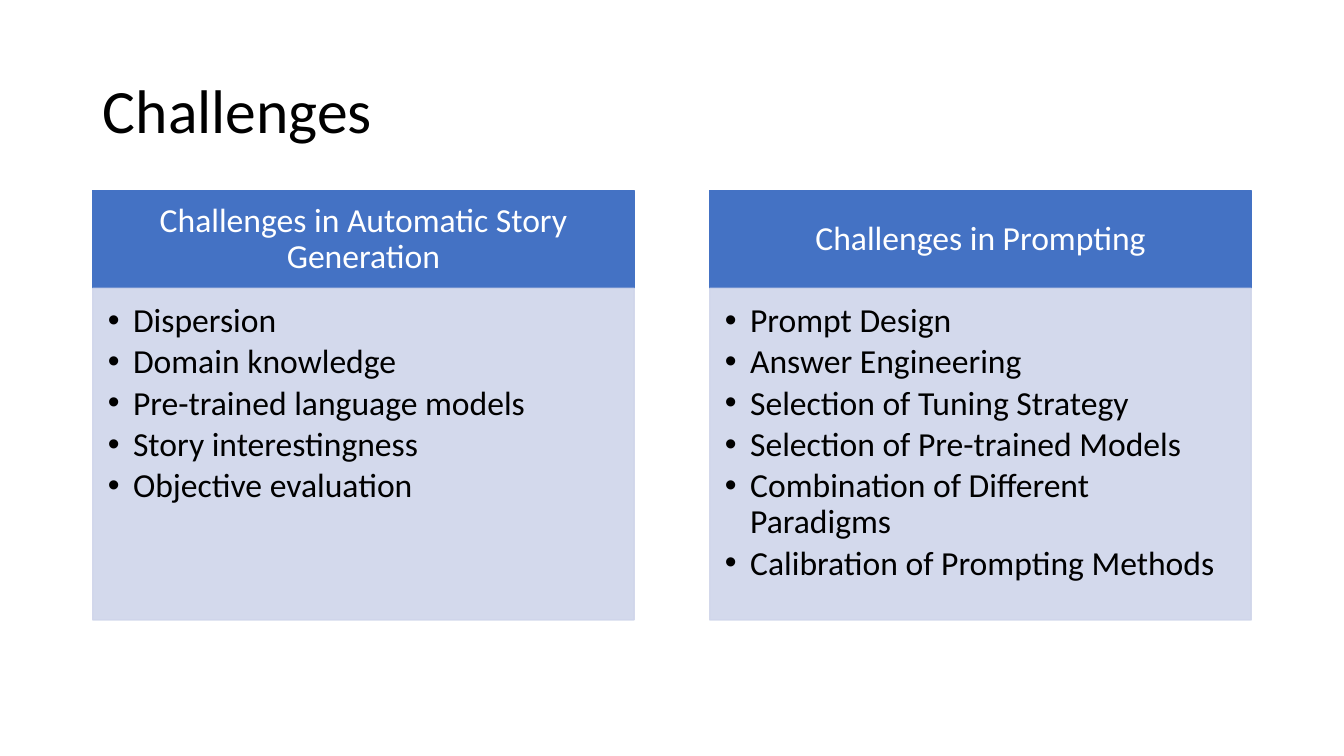
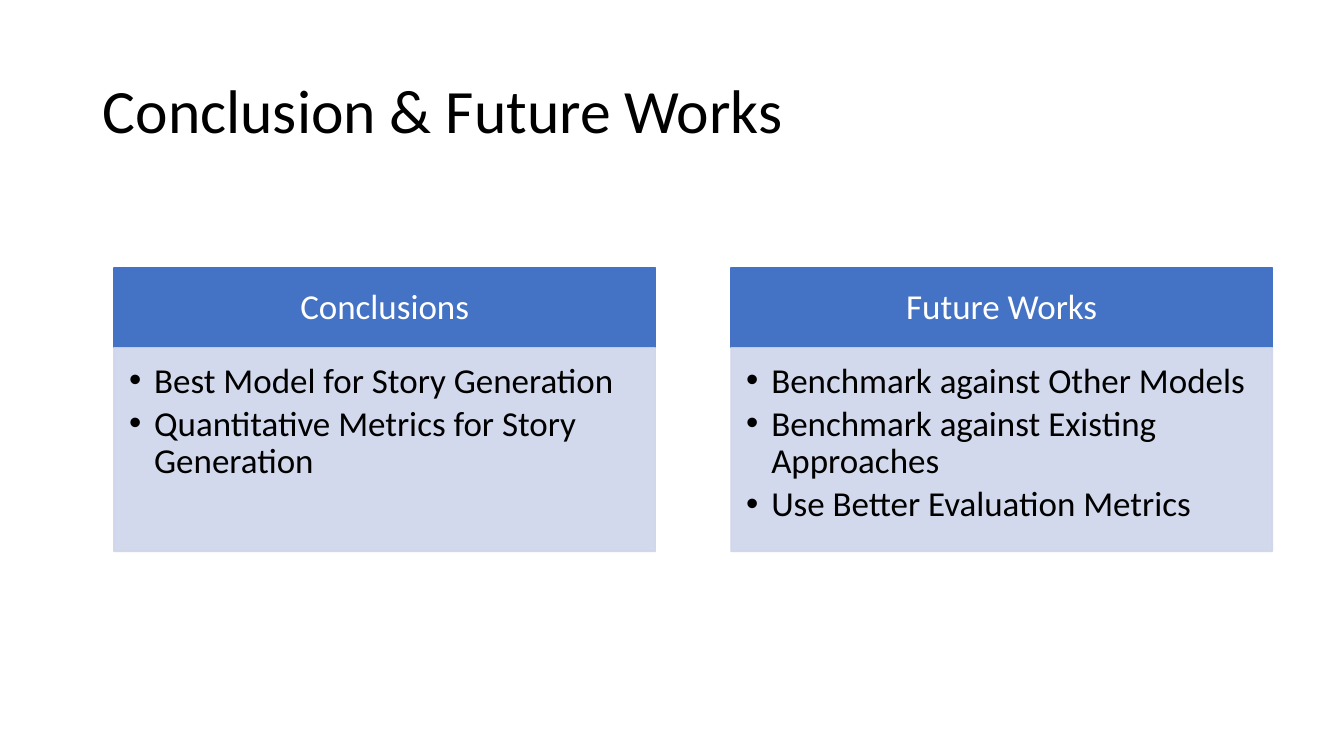
"""Build two slides that each compare a pair of headed bullet panels."""
from dataclasses import dataclass

from lxml.etree import SubElement
from pptx import Presentation
from pptx.dml.color import RGBColor as Color
from pptx.enum.shapes import MSO_SHAPE as Preset
from pptx.enum.text import MSO_ANCHOR as Anchor, MSO_AUTO_SIZE as AutoSize, PP_ALIGN as Align
from pptx.oxml.ns import qn
from pptx.util import Inches, Pt

PAGES = [
    {
        "title": "Challenges",
        "left": 0.92, "top": 1.89, "header": 0.97, "body": 3.29, "size": 24,
        "panels": [
            ("Challenges in Automatic Story Generation", [
                "Dispersion",
                "Domain knowledge",
                "Pre-trained language models",
                "Story interestingness",
                "Objective evaluation",
            ]),
            ("Challenges in Prompting", [
                "Prompt Design",
                "Answer Engineering",
                "Selection of Tuning Strategy",
                "Selection of Pre-trained Models",
                "Combination of Different Paradigms",
                "Calibration of Prompting Methods",
            ]),
        ],
    },
    {
        "title": "Conclusion & Future Works",
        "left": 1.13, "top": 2.66, "header": 0.79, "body": 2.02, "size": 25,
        "panels": [
            ("Conclusions", [
                "Best Model for Story Generation",
                "Quantitative Metrics for Story Generation",
            ]),
            ("Future Works", [
                "Benchmark against Other Models",
                "Benchmark against Existing Approaches",
                "Use Better Evaluation Metrics",
            ]),
        ],
    },
]


@dataclass(frozen=True)
class Theme:
    font: str = "Calibri"
    title_size: int = 44
    line_spacing: float = 0.9
    bullet_gap: float = 0.15
    text: Color = Color(0, 0, 0)
    header_text: Color = Color(255, 255, 255)
    header: Color = Color.from_string("4472C4")
    body: Color = Color.from_string("CFD5EA")
    body_alpha: int = 90


THEME = Theme()
SLIDE_SIZE = (13.33, 7.5)
TITLE_BOX = (0.92, 0.4, 11.5, 1.45)
PANEL_WIDTH, PANEL_STEP = 5.37, 6.12
HEADER_INSETS = (0.19, 0.11, 0.19, 0.11)
BODY_INSETS = (0.15, 0.15, 0.19, 0.22)
BULLET_INDENT = 0.25


def style_paragraph(para, size, color, align=Align.LEFT):
    para.alignment = align
    para.line_spacing = THEME.line_spacing
    para.font.name = THEME.font
    para.font.size = Pt(size)
    para.font.color.rgb = color


def add_bullet(para, size):
    para.space_after = Pt(size * THEME.bullet_gap)
    properties = para._p.get_or_add_pPr()
    properties.set("marL", str(Inches(BULLET_INDENT)))
    properties.set("indent", str(-Inches(BULLET_INDENT)))
    SubElement(properties, qn("a:buFont"), typeface="Arial")
    SubElement(properties, qn("a:buChar"), char="•")


def add_block(page, box, color, insets, anchor, alpha=100):
    block = page.shapes.add_shape(Preset.RECTANGLE, *map(Inches, box))
    block.shadow.inherit = False
    block.fill.solid()
    block.fill.fore_color.rgb = color
    block.line.color.rgb = color
    block.line.width = Pt(1)
    if alpha < 100:
        for swatch in block._element.spPr.iter(qn("a:srgbClr")):
            SubElement(swatch, qn("a:alpha"), val=str(alpha * 1000))
    frame = block.text_frame
    frame.word_wrap = True
    frame.vertical_anchor = anchor
    (frame.margin_left, frame.margin_top,
     frame.margin_right, frame.margin_bottom) = map(Inches, insets)
    return frame


def add_title(page, text):
    title = page.shapes.title
    title.left, title.top, title.width, title.height = map(Inches, TITLE_BOX)
    frame = title.text_frame
    frame.text = text
    frame.auto_size = AutoSize.NONE
    frame.vertical_anchor = Anchor.MIDDLE
    style_paragraph(frame.paragraphs[0], THEME.title_size, THEME.text)


def add_panel(page, content, left, heading, items):
    top, header, size = content["top"], content["header"], content["size"]
    frame = add_block(page, (left, top, PANEL_WIDTH, header), THEME.header,
                      HEADER_INSETS, Anchor.MIDDLE)
    frame.text = heading
    style_paragraph(frame.paragraphs[0], size, THEME.header_text, Align.CENTER)

    frame = add_block(page, (left, top + header, PANEL_WIDTH, content["body"]), THEME.body,
                      BODY_INSETS, Anchor.TOP, THEME.body_alpha)
    frame.text = "\n".join(items)
    for para in frame.paragraphs:
        add_bullet(para, size)
        style_paragraph(para, size, THEME.text)


deck = Presentation()
deck.slide_width, deck.slide_height = map(Inches, SLIDE_SIZE)
title_only = deck.slide_layouts.get_by_name("Title Only")
for content in PAGES:
    page = deck.slides.add_slide(title_only)
    add_title(page, content["title"])
    for column, (heading, items) in enumerate(content["panels"]):
        add_panel(page, content, content["left"] + column * PANEL_STEP, heading, items)
deck.save("out.pptx")
